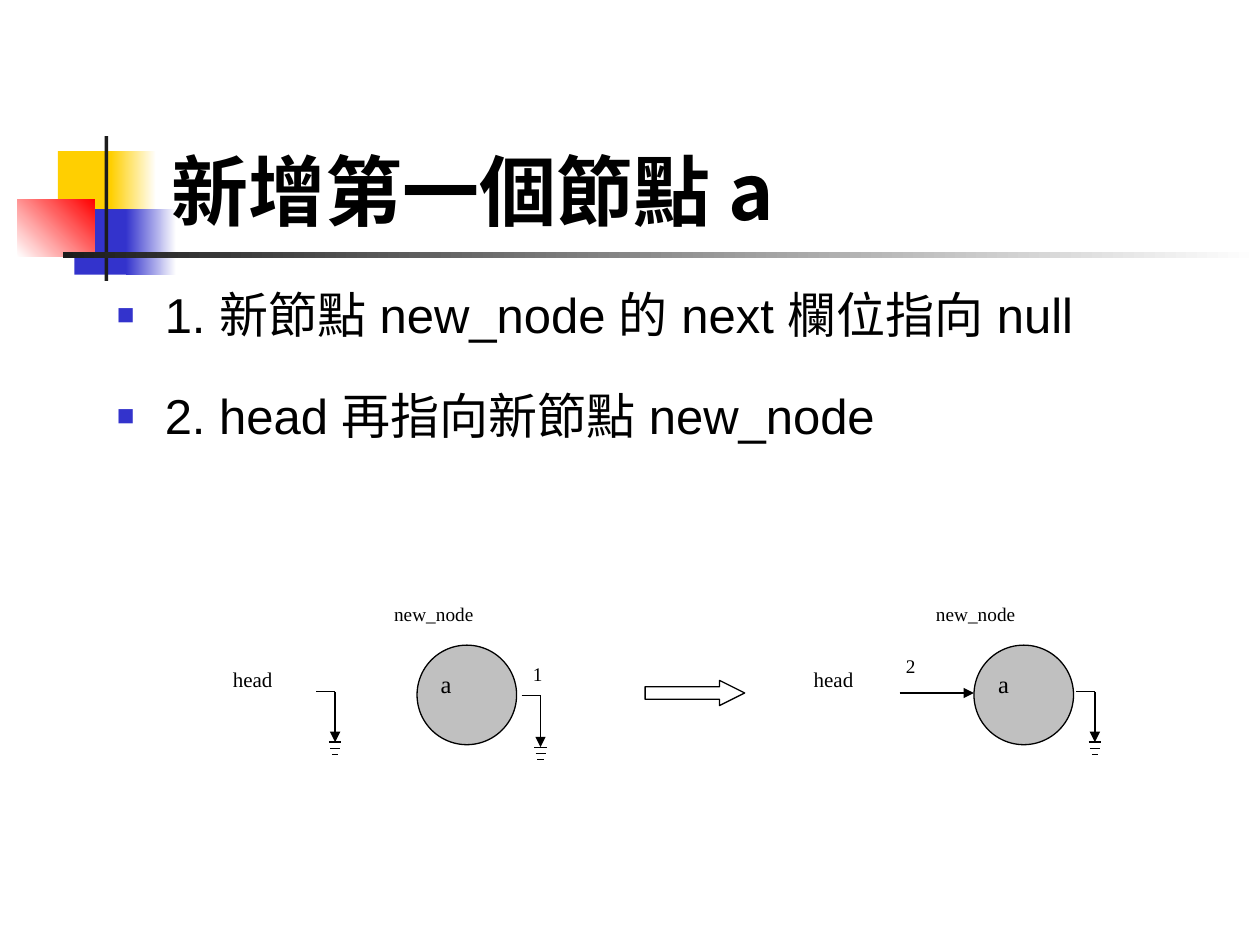
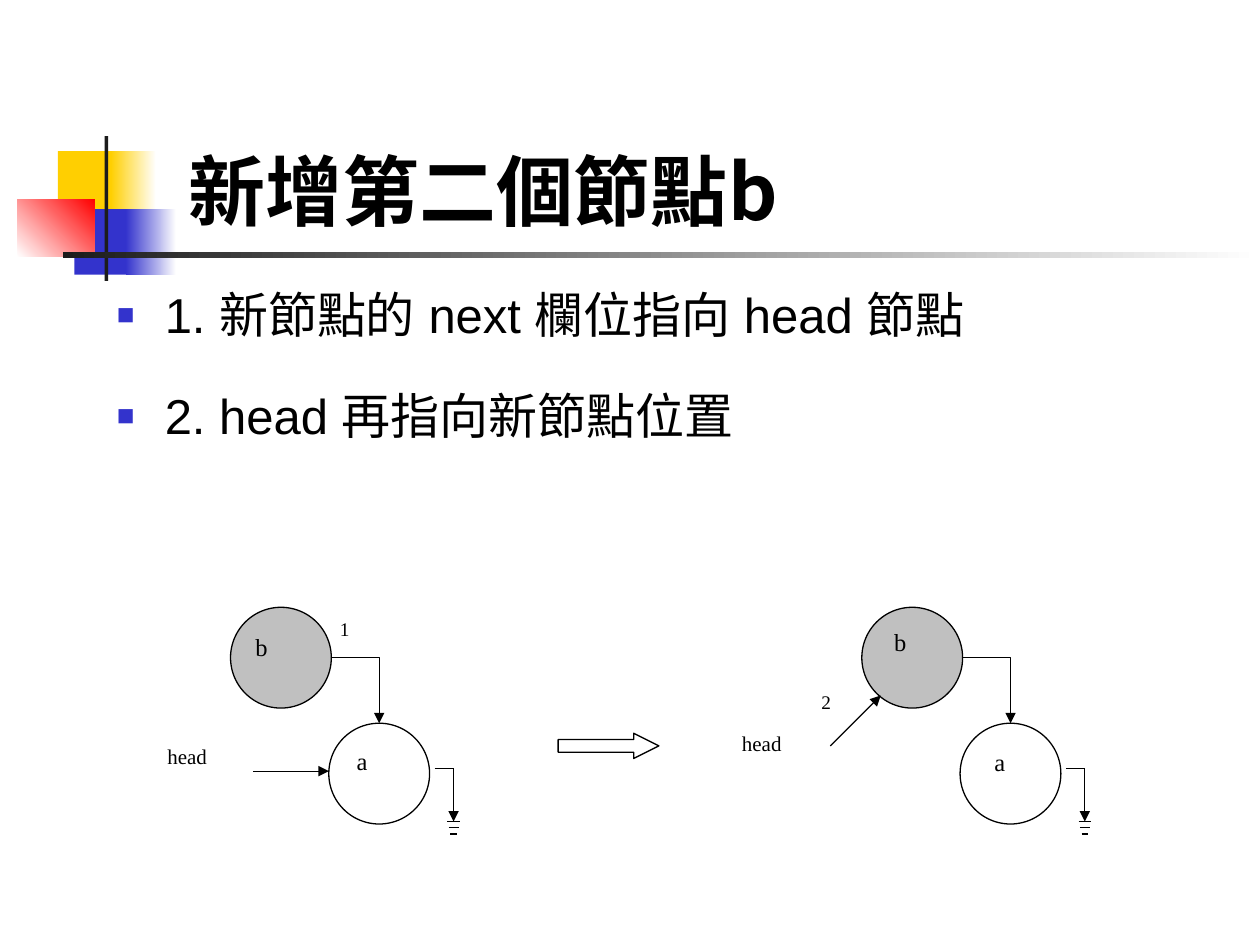
"""Build two slides on inserting nodes at the head of a linked list."""
from lxml import etree
from pptx import Presentation
from pptx import util as u
from pptx.dml import color
from pptx.enum import shapes, text
from pptx.oxml import ns

COLORS = {"black": "000000", "white": "FFFFFF", "gray": "C0C0C0", "ink": "1C1C1C",
          "yellow": "FFCF01", "blue": "3333CC", "red": "FF0000"}
TITLE_FONT, BODY_FONT, DIAGRAM_FONT = "Noto Sans CJK SC", "Arial", "Times New Roman"
TITLE_BOX = (1.26, 0.67, 8.52, 1.25)
BODY_BOX = (0.83, 2.21, 8.97, 1.7)

BAND = [
    ((0.46, 1.2, 0.48, 0.52), ("yellow",), 0),
    ((0.88, 1.2, 0.36, 0.52), ("yellow", "white"), 0),
    ((0.59, 1.66, 0.46, 0.52), ("blue",), 0),
    ((1, 1.66, 0.4, 0.52), ("blue", "white"), 0),
    ((0.14, 1.58, 0.61, 0.46), ("white", "red"), 45),
    ((0.83, 1.08, 0.03, 1.15), ("ink",), 0),
    ((0.5, 2, 9.5, 0.05), ("ink", "white"), 0),
]

SLIDES = [
    {
        "title": "新增第一個節點 a",
        "points": ["1. 新節點 new_node 的 next 欄位指向 null",
                   "2. head 再指向新節點 new_node"],
        "node_size": 0.79,
        "nodes": [("a", 3.31, 5.12, "gray", 0.15, 0.14, 0.31),
                  ("a", 7.73, 5.12, "gray", 0.14, 0.14, 0.28)],
        "labels": [("head", 1.75, 5.24, 0.99, 12), ("head", 6.36, 5.24, 0.99, 12),
                   ("new_node", 3.03, 4.73, 1.44, 11), ("new_node", 7.33, 4.73, 1.44, 11),
                   ("1", 4.13, 5.21, 0.39, 11), ("2", 7.09, 5.14, 0.39, 11)],
        "nulls": [(2.66, 5.49, 0.4), (4.29, 5.52, 0.41), (8.69, 5.49, 0.4)],
        "pointers": [(7.14, 5.5, 7.73, 5.5, 0.75)],
        "bent_pointers": [],
        "step_arrow": (5.12, 5.4),
    },
    {
        "title": " 新增第二個節點b",
        "points": ["1. 新節點的 next 欄位指向 head 節點",
                   "2. head 再指向新節點位置"],
        "node_size": 0.8,
        "nodes": [("b", 1.83, 4.82, "gray", 0.15, 0.15, 0.28),
                  ("a", 2.61, 5.74, "white", 0.15, 0.13, 0.24),
                  ("b", 6.84, 4.82, "gray", 0.21, 0.11, 0.28),
                  ("a", 7.62, 5.74, "white", 0.22, 0.14, 0.28)],
        "labels": [("head", 1.23, 5.85, 1, 12), ("head", 5.79, 5.75, 0.85, 12),
                   ("1", 2.6, 4.85, 0.4, 11), ("2", 6.42, 5.43, 0.4, 11)],
        "nulls": [(3.6, 6.1, 0.42), (8.61, 6.1, 0.42)],
        "pointers": [(2.01, 6.12, 2.61, 6.12, 0.5), (6.59, 5.92, 6.99, 5.52, 0.75)],
        "bent_pointers": [(2.63, 5.22, 3.01, 5.74, 0.75), (7.64, 5.22, 8.02, 5.74, 0.5)],
        "step_arrow": (4.43, 5.82),
    },
]


def rgb(name):
    return color.RGBColor.from_string(COLORS[name])


def inches(values):
    return [u.Inches(value) for value in values]


def add_child(parent, tag, **attributes):
    return etree.SubElement(parent, ns.qn(tag), attributes)


def style_paragraph(paragraph, font_name, size, bold=False):
    font = paragraph.font
    font.name, font.size, font.bold = font_name, u.Pt(size), bold
    font.color.rgb = rgb("black")
    properties = paragraph._p.get_or_add_pPr().find(ns.qn("a:defRPr"))
    add_child(properties, "a:ea", typeface=font_name)


def add_filled(slide, kind, box, fill, outlined=True):
    shape = slide.shapes.add_shape(kind, *inches(box))
    shape.shadow.inherit = False
    shape.fill.solid()
    shape.fill.fore_color.rgb = rgb(fill)
    if outlined:
        shape.line.color.rgb = rgb("black")
        shape.line.width = u.Pt(0.75)
    else:
        shape.line.fill.background()
    return shape


def add_band(slide, layout):
    for number, (box, fills, angle) in enumerate(BAND):
        shape = add_filled(slide, shapes.MSO_SHAPE.RECTANGLE, box, fills[0], outlined=False)
        if len(fills) == 2:
            shape.fill.gradient()
            shape.fill.gradient_angle = angle
            for stop, fill, position in zip(shape.fill.gradient_stops, fills, (0, 1)):
                stop.color.rgb = rgb(fill)
                stop.position = position
        shape.element.nvSpPr.cNvPr.set("id", str(20 + number))
        layout.shapes.element.append(shape.element)


def add_title(slide, wording):
    title = slide.shapes.title
    title.left, title.top, title.width, title.height = inches(TITLE_BOX)
    frame = title.text_frame
    frame.text = wording
    frame.vertical_anchor = text.MSO_ANCHOR.BOTTOM
    frame.auto_size = text.MSO_AUTO_SIZE.NONE
    frame.paragraphs[0].alignment = text.PP_ALIGN.LEFT
    style_paragraph(frame.paragraphs[0], TITLE_FONT, 44, bold=True)


def add_points(slide, points):
    frame = slide.shapes.add_textbox(*inches(BODY_BOX)).text_frame
    frame.word_wrap = True
    frame.text = "\n".join(points)
    for paragraph in frame.paragraphs:
        paragraph.space_before = u.Pt(24)
        properties = paragraph._p.get_or_add_pPr()
        properties.set("marL", str(u.Inches(0.38)))
        properties.set("indent", str(-u.Inches(0.38)))
        add_child(add_child(properties, "a:buClr"), "a:srgbClr", val=COLORS["blue"])
        add_child(properties, "a:buSzPct", val="60000")
        add_child(properties, "a:buFont", typeface=BODY_FONT)
        add_child(properties, "a:buChar", char="■")
        style_paragraph(paragraph, BODY_FONT, 28)


def add_label(slide, wording, left, top, width, size, height=0.4):
    frame = slide.shapes.add_textbox(*inches((left, top, width, height))).text_frame
    frame.word_wrap = True
    frame.text = wording
    style_paragraph(frame.paragraphs[0], DIAGRAM_FONT, size)
    return frame


def add_node(slide, size, letter, left, top, fill, letter_x, letter_y, right_inset):
    add_filled(slide, shapes.MSO_SHAPE.OVAL, (left, top, size, size), fill)
    frame = add_label(slide, letter, left + letter_x, top + letter_y, 0.47, 14, 0.53)
    frame.margin_left, frame.margin_right = 0, u.Inches(right_inset)
    frame.paragraphs[0].alignment = text.PP_ALIGN.CENTER


def add_line(slide, x1, y1, x2, y2, width=0.75, arrow=False, bent=False):
    kind = shapes.MSO_CONNECTOR.ELBOW if bent else shapes.MSO_CONNECTOR.STRAIGHT
    connector = slide.shapes.add_connector(kind, *inches((x1, y1, x2, y2)))
    connector.line.color.rgb = rgb("black")
    connector.line.width = u.Pt(width)
    properties = connector.element.spPr
    if bent:
        properties.find(ns.qn("a:prstGeom")).set("prst", "bentConnector2")
    if arrow:
        add_child(properties.find(ns.qn("a:ln")), "a:tailEnd", type="triangle")
    add_child(properties, "a:effectLst")


def add_null(slide, x, y, drop):
    add_line(slide, x - 0.15, y, x, y)
    add_line(slide, x, y, x, y + drop, arrow=True)
    for step, half in enumerate((0.05, 0.04, 0.025)):
        bar_y = y + drop + 0.05 * step
        add_line(slide, x - half, bar_y, x + half, bar_y)


def add_diagram(slide, content):
    size = content["node_size"]
    for node in content["nodes"]:
        add_node(slide, size, *node)
    for label in content["labels"]:
        add_label(slide, *label)
    for null in content["nulls"]:
        add_null(slide, *null)
    for pointer in content["pointers"]:
        add_line(slide, *pointer, arrow=True)
    for pointer in content["bent_pointers"]:
        add_line(slide, *pointer, arrow=True, bent=True)
    arrow = add_filled(slide, shapes.MSO_SHAPE.RIGHT_ARROW,
                       (*content["step_arrow"], size, 0.2), "white")
    arrow.adjustments[0], arrow.adjustments[1] = 0.5, 1


def main():
    presentation = Presentation()
    presentation.slide_width, presentation.slide_height = inches((10, 7.5))
    layout = presentation.slide_layouts[5]
    for number, content in enumerate(SLIDES):
        slide = presentation.slides.add_slide(layout)
        if number == 0:
            add_band(slide, layout)
        add_title(slide, content["title"])
        add_diagram(slide, content)
        add_points(slide, content["points"])
    presentation.save("out.pptx")


if __name__ == "__main__":
    main()
